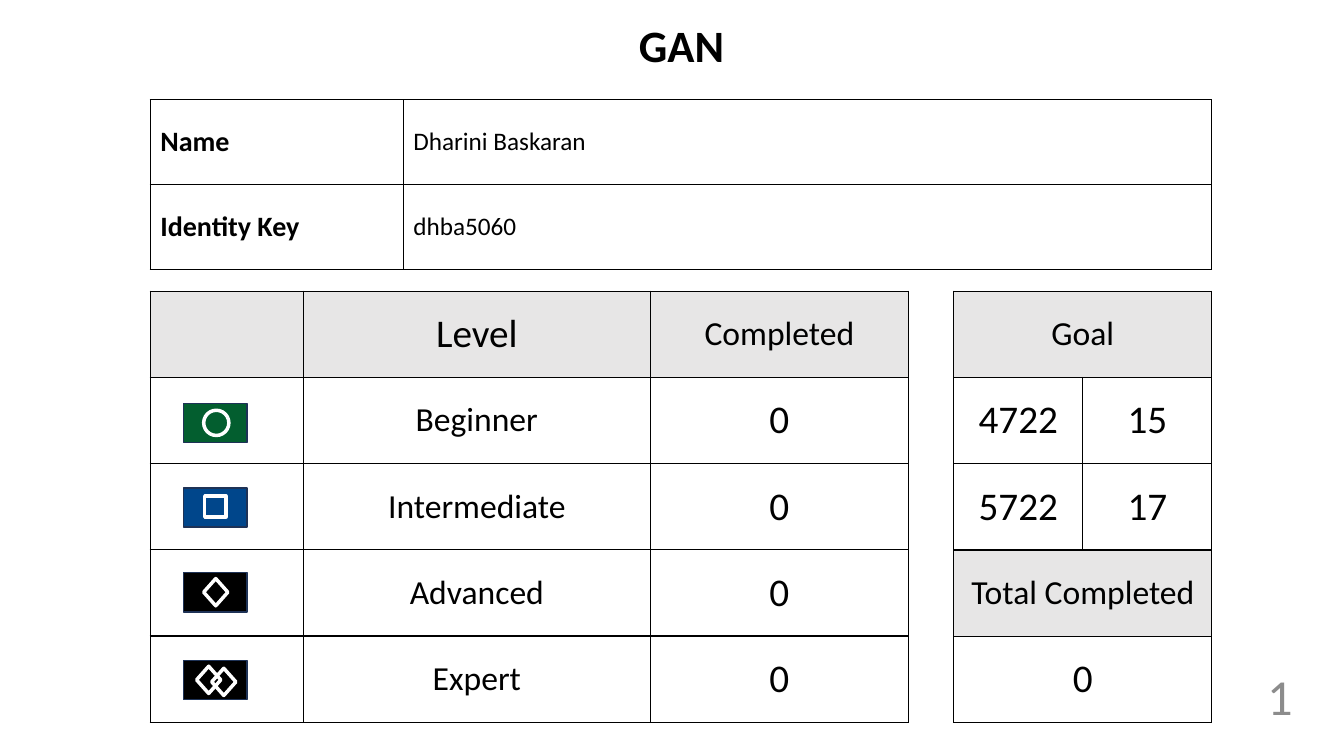
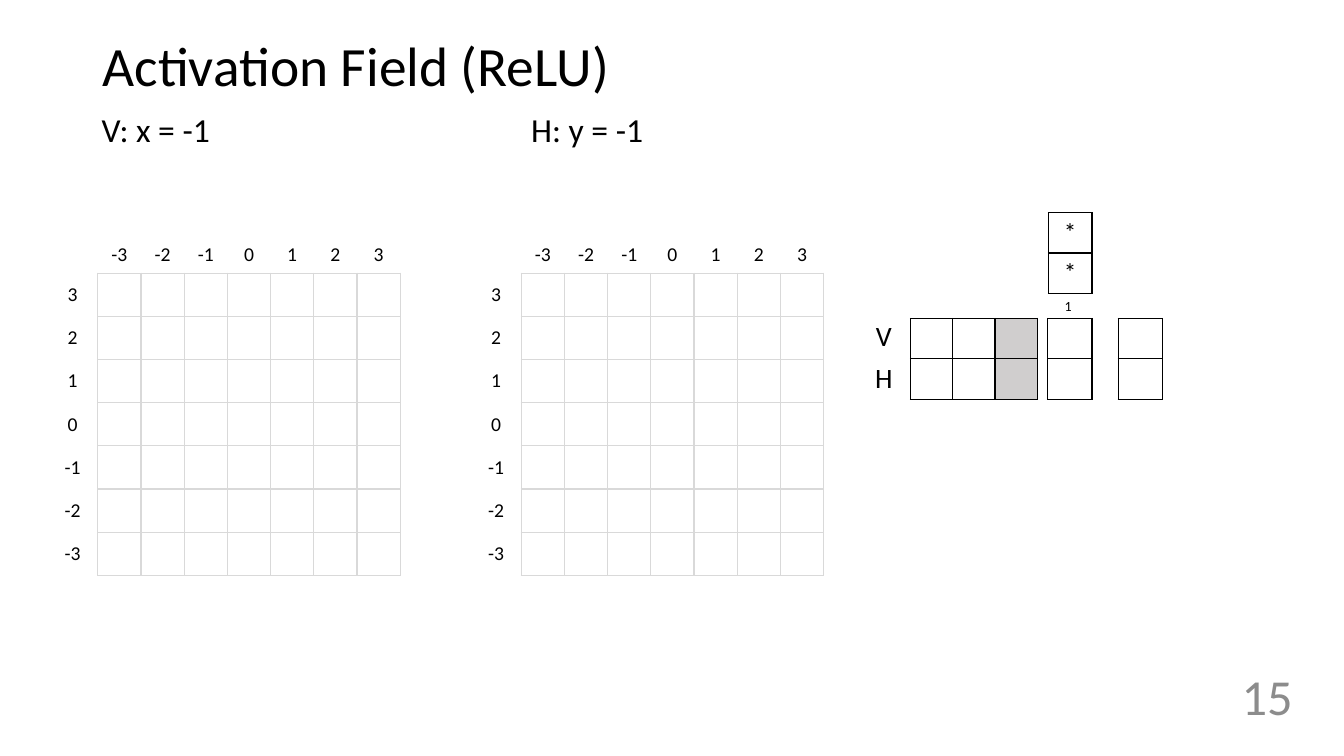
from dataclasses import dataclass

from lxml import etree
from pptx import Presentation
from pptx.dml.color import RGBColor
from pptx.enum.shapes import MSO_SHAPE
from pptx.enum.text import MSO_ANCHOR, MSO_AUTO_SIZE, PP_ALIGN
from pptx.oxml.ns import qn
from pptx.util import Inches, Pt

RECT, OVAL, DIAMOND = MSO_SHAPE.RECTANGLE, MSO_SHAPE.OVAL, MSO_SHAPE.DIAMOND
LEFT, CENTER, RIGHT = PP_ALIGN.LEFT, PP_ALIGN.CENTER, PP_ALIGN.RIGHT
TOP, MIDDLE = MSO_ANCHOR.TOP, MSO_ANCHOR.MIDDLE
FIT, FIXED = MSO_AUTO_SIZE.SHAPE_TO_FIT_TEXT, MSO_AUTO_SIZE.NONE

FONT = "Calibri"
COLORS = {
    "text": "000000",
    "page": "8C8C8C",
    "header": "E7E6E6",
    "bias": "D0CECE",
    "grid": "D9D9D9",
    "white": "FFFFFF",
    "black": "000000",
    "green": "035E2F",
    "blue": "00468B",
    "badge_line": "1E3256",
}


@dataclass(frozen=True)
class Cell:
    text: str = ""
    size: float = 18
    bold: bool = False
    fill: str = ""


@dataclass(frozen=True)
class Table:
    left: float
    top: float
    cols: list[float]
    row_height: float
    rows: list[list[Cell]]
    border: str = ""
    align: PP_ALIGN = CENTER
    anchor: MSO_ANCHOR = MIDDLE
    margin_x: float = 0.1
    margin_y: float = 0.04


@dataclass(frozen=True)
class Mark:
    kind: MSO_SHAPE
    left: float
    top: float
    width: float
    height: float
    filled: bool = True


@dataclass(frozen=True)
class Badge:
    top: float
    fill: str
    marks: list[Mark]


def rgb(name: str) -> RGBColor:
    return RGBColor.from_string(COLORS[name])


def set_format(target, values: dict) -> None:
    for name, value in values.items():
        setattr(target, name, value)


def add_run(p, text: str, size: float, bold: bool = False, color: str = "text") -> None:
    r = p.add_run()
    r.text = text
    set_format(r.font, {"name": FONT, "size": Pt(size), "bold": bold})
    r.font.color.rgb = rgb(color)


def add_text(slide, box: tuple, text: str, size: float, bold: bool = False,
             color: str = "text", align: PP_ALIGN = LEFT, anchor: MSO_ANCHOR = TOP,
             wrap: bool = True, fit: MSO_AUTO_SIZE = FIXED, spacing: float = 1.0) -> None:
    tf = slide.shapes.add_textbox(*map(Inches, box)).text_frame
    set_format(tf, {"word_wrap": wrap, "auto_size": fit, "vertical_anchor": anchor})
    p = tf.paragraphs[0]
    set_format(p, {"alignment": align, "line_spacing": spacing})
    add_run(p, text, size, bold, color)


def add_page_number(slide, number: int) -> None:
    add_text(slide, (11.67, 6.47, 1.25, 0.86), str(number), 36,
             color="page", align=RIGHT, anchor=MIDDLE)


def set_borders(cell, color: str) -> None:
    """Give a cell four 1 pt borders, or none when color is empty."""
    tc_pr = cell._tc.get_or_add_tcPr()
    for i, side in enumerate(("lnL", "lnR", "lnT", "lnB")):
        ln = etree.Element(qn(f"a:{side}"), w=str(Pt(1)))
        if color:
            fill = etree.SubElement(ln, qn("a:solidFill"))
            etree.SubElement(fill, qn("a:srgbClr"), val=COLORS[color])
        else:
            etree.SubElement(ln, qn("a:noFill"))
        tc_pr.insert(i, ln)


def add_table(slide, t: Table):
    height = t.row_height * len(t.rows)
    table = slide.shapes.add_table(
        len(t.rows), len(t.cols), Inches(t.left), Inches(t.top),
        Inches(sum(t.cols)), Inches(height)).table
    set_format(table, {"first_row": False, "horz_banding": False})
    for col, width in zip(table.columns, t.cols):
        col.width = Inches(width)
    layout = {
        "vertical_anchor": t.anchor,
        "margin_left": Inches(t.margin_x), "margin_right": Inches(t.margin_x),
        "margin_top": Inches(t.margin_y), "margin_bottom": Inches(t.margin_y),
    }
    for row, items in zip(table.rows, t.rows):
        row.height = Inches(t.row_height)
        for cell, item in zip(row.cells, items):
            set_format(cell, layout)
            if item.fill:
                cell.fill.solid()
                cell.fill.fore_color.rgb = rgb(item.fill)
            else:
                cell.fill.background()
            set_borders(cell, t.border)
            if item.text:
                p = cell.text_frame.paragraphs[0]
                p.alignment = t.align
                add_run(p, item.text, item.size, item.bold)
    return table


def add_shape(slide, kind: MSO_SHAPE, box: tuple, fill: str, line: str, width: float) -> None:
    sp = slide.shapes.add_shape(kind, *map(Inches, box))
    sp.shadow.inherit = False
    if fill:
        sp.fill.solid()
        sp.fill.fore_color.rgb = rgb(fill)
    else:
        sp.fill.background()
    sp.line.color.rgb = rgb(line)
    sp.line.width = Pt(width)


def add_badge(slide, badge: Badge) -> None:
    add_shape(slide, RECT, (1.82, badge.top, 0.63, 0.39), badge.fill, "badge_line", 1)
    for m in badge.marks:
        add_shape(slide, m.kind, (m.left, badge.top + m.top, m.width, m.height),
                  badge.fill if m.filled else "", "white", 2.5)


def header(text: str = "", size: float = 24) -> Cell:
    return Cell(text, size, fill="header")


def number(text: str) -> Cell:
    return Cell(text, 28)


def blank_rows(rows: int, cols: int) -> list[list[Cell]]:
    return [[Cell()] * cols for _ in range(rows)]


def build_scorecard(slide) -> None:
    levels = ["Beginner", "Intermediate", "Advanced", "Expert"]
    add_table(slide, Table(
        1.49, 2.89, [1.52, 3.44, 2.56], 0.855,
        [[header(), header("Level", 28), header("Completed")]]
        + [[Cell(), Cell(level, 24), number("0")] for level in levels], "black"))

    person = {"Name": "Dharini Baskaran", "Identity Key": "dhba5060"}
    add_table(slide, Table(
        1.49, 0.99, [2.51, 8.02], 0.84,
        [[Cell(label, 20, True), Cell(value)] for label, value in person.items()],
        "black", align=LEFT))

    badges = [
        Badge(4, "green", [Mark(OVAL, 2.02, 0.07, 0.25, 0.25)]),
        Badge(4.84, "blue", [Mark(RECT, 2.03, 0.08, 0.21, 0.21)]),
        Badge(5.68, "black", [Mark(DIAMOND, 2.02, 0.06, 0.24, 0.27)]),
        Badge(6.55, "black", [Mark(DIAMOND, 1.95, 0.06, 0.24, 0.27),
                              Mark(DIAMOND, 2.1, 0.08, 0.24, 0.27, filled=False)]),
    ]
    for badge in badges:
        add_badge(slide, badge)

    add_text(slide, (1.49, 0.13, 10.54, 0.64), "GAN", 32, True, align=CENTER, fit=FIT)

    goal = add_table(slide, Table(
        9.46, 2.89, [1.28, 1.28], 0.855,
        [[header("Goal"), header()],
         [number("4722"), number("15")],
         [number("5722"), number("17")]], "black"))
    goal.cell(0, 0).merge(goal.cell(0, 1))
    add_table(slide, Table(9.46, 5.46, [2.56], 0.855,
                           [[header("Total Completed")], [number("0")]], "black"))
    add_page_number(slide, 1)


def add_plane(slide, left: float) -> None:
    """Draw an empty 7 by 7 grid with its x and y labels."""
    ticks = [str(n) for n in range(-3, 4)]
    cols = [3 / len(ticks)] * len(ticks)
    step = cols[0]
    add_table(slide, Table(left, 2.71, cols, step, blank_rows(7, 7), "grid"))
    add_table(slide, Table(left, 2.36, cols, 0.33, [[Cell(tick, 14) for tick in ticks]],
                           anchor=TOP, margin_x=0, margin_y=0.05))
    add_table(slide, Table(left - 0.43, 2.71, [0.36], step,
                           [[Cell(tick, 14)] for tick in reversed(ticks)],
                           margin_x=0, margin_y=0.05))


def build_activation(slide) -> None:
    add_text(slide, (0.92, 0.4, 11.5, 0.55), "Activation Field (ReLU)", 39.6,
             anchor=MIDDLE, spacing=0.9)
    add_page_number(slide, 15)
    for left in (0.97, 5.17):
        add_plane(slide, left)

    weights = [[Cell(), Cell(), Cell(fill="bias")]] * 2
    matrices = [
        Table(8.46, 3.13, [0.61], 0.42, [[Cell("V", 20)], [Cell("H", 20)]]),
        Table(10.4, 2.11, [0.43], 0.4, [[Cell("*")], [Cell("*")]], "black"),
        Table(9.03, 3.16, [0.42] * 3, 0.4, weights, "black"),
        Table(10.39, 2.88, [0.41], 0.32, [[Cell("1", 10)]]),
        Table(10.39, 3.16, [0.44], 0.4, blank_rows(2, 1), "black"),
        Table(11.09, 3.16, [0.44], 0.4, blank_rows(2, 1), "black"),
    ]
    for matrix in matrices:
        add_table(slide, matrix)

    for left, width, text in ((0.91, 1.28, "V: x = -1"), (5.17, 1.32, "H: y = -1")):
        add_text(slide, (left, 1.03, width, 0.5), text, 24, wrap=False, fit=FIT)


def main() -> None:
    prs = Presentation()
    set_format(prs, {"slide_width": Inches(13.33), "slide_height": Inches(7.5)})
    for build in (build_scorecard, build_activation):
        build(prs.slides.add_slide(prs.slide_layouts[6]))
    prs.save("out.pptx")


if __name__ == "__main__":
    main()
